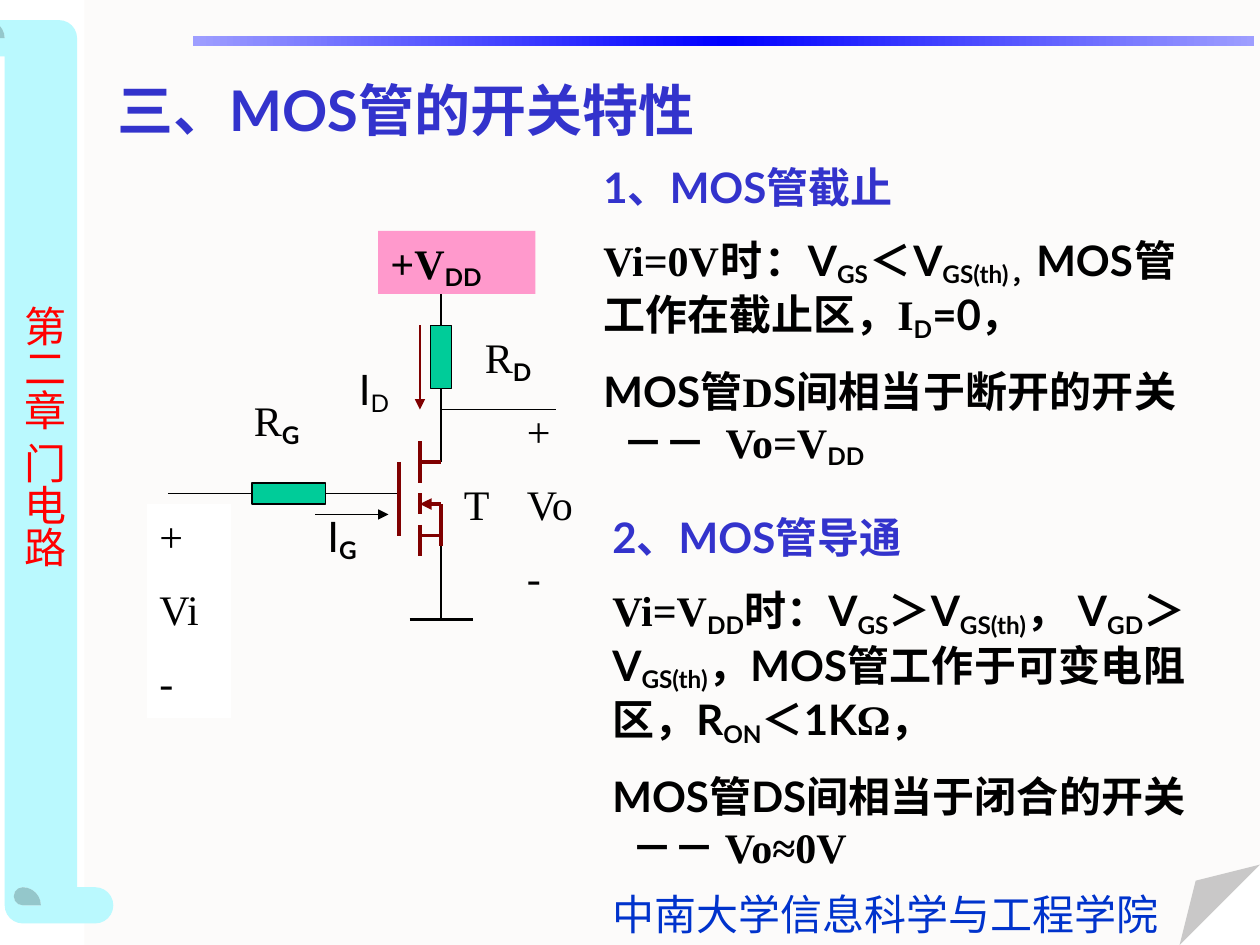
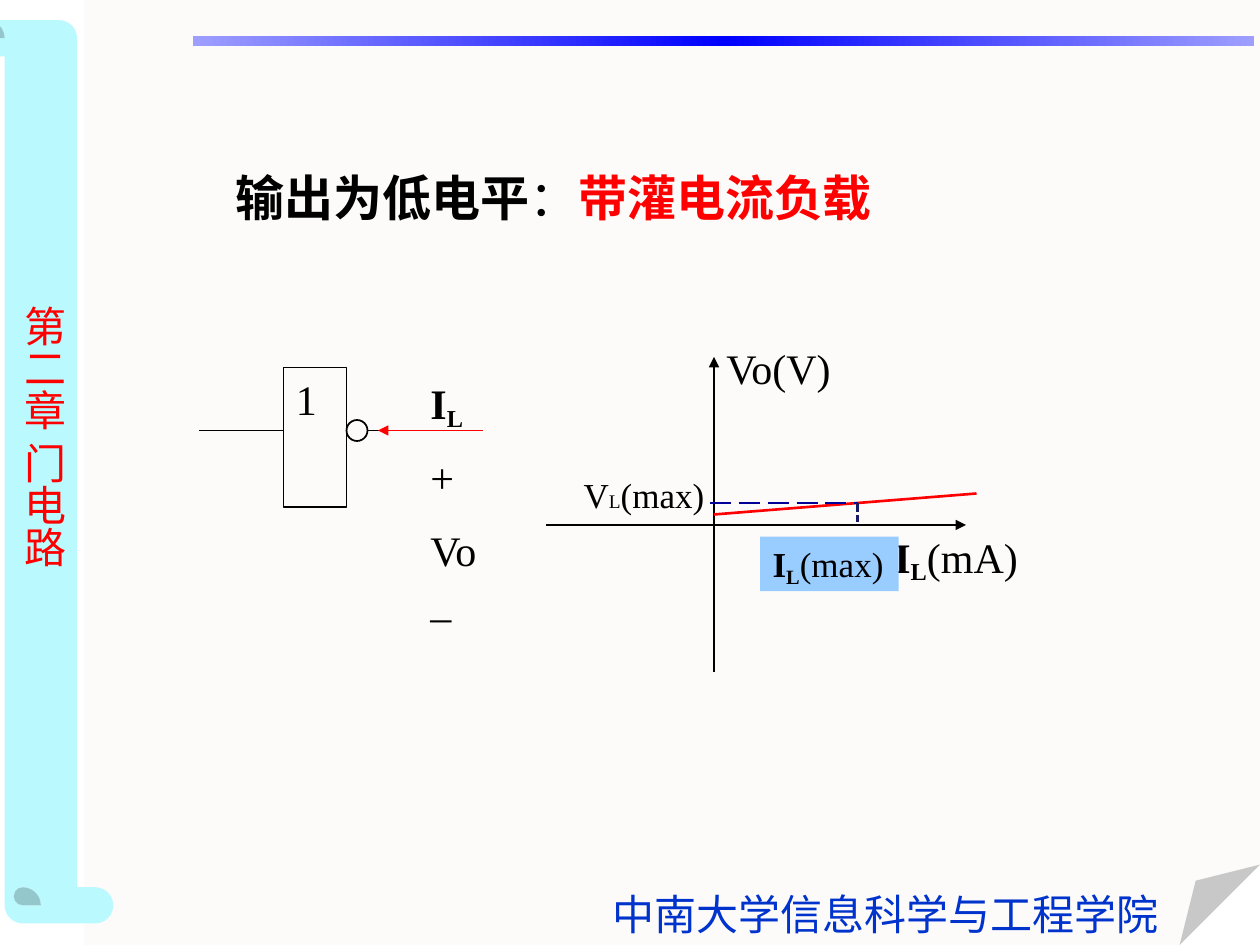
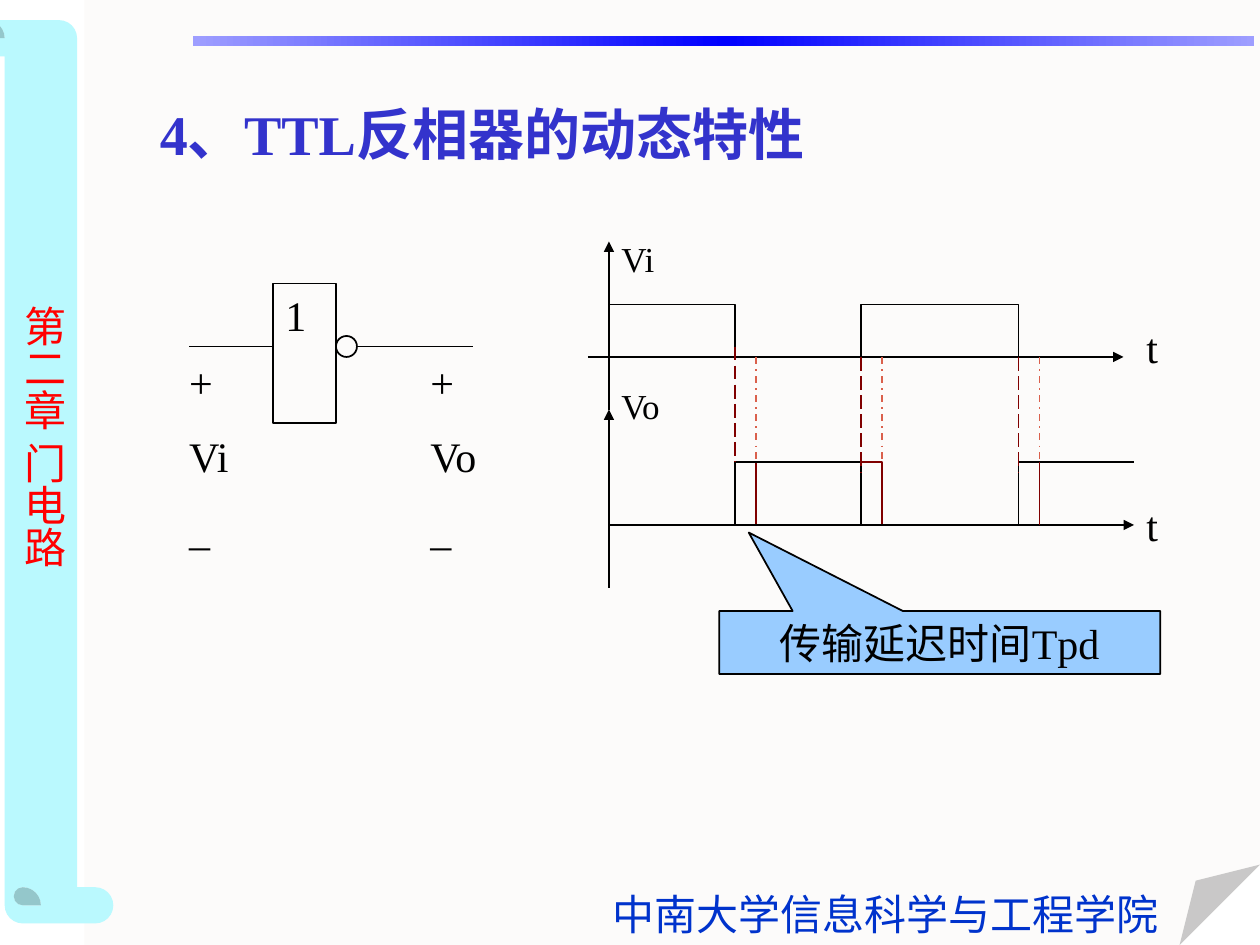
from copy import deepcopy
from dataclasses import dataclass

from lxml.etree import SubElement
from pptx import Presentation
from pptx.dml.color import RGBColor
from pptx.enum.dml import MSO_LINE
from pptx.enum.shapes import MSO_CONNECTOR, MSO_SHAPE
from pptx.enum.text import MSO_ANCHOR, MSO_AUTO_SIZE, PP_ALIGN
from pptx.oxml.ns import qn
from pptx.util import Cm, Pt


@dataclass(frozen=True)
class Theme:
    serif: str = "Times New Roman"
    sans: str = "Lato"
    asian: str = "Noto Sans CJK SC"
    ink: str = "000000"
    head: str = "3333CC"
    foot: str = "0033CC"
    red: str = "FF0000"
    paper: str = "FCFBFA"
    white: str = "FFFFFF"
    scroll: str = "BAF9FE"
    pink: str = "FF99CC"
    green: str = "00CC99"
    sky: str = "99CCFF"
    band: tuple = ((0, "9E9EFF"), (0.5, "0000FF"), (1, "9E9EFF"))
    title: int = 32
    lead: int = 28
    text: int = 24
    small: int = 20
    tiny: int = 11
    gap: int = 13


T = Theme()
UNIT = Cm(2.54) / 12  # drawing grid

# name: colour, width, dash
PENS = {
    "wire": (T.ink, 1, None),
    "bar": (T.ink, 2.25, None),
    "fet": ("800000", 2.25, None),
    "edge": ("800000", 1, None),
    "drop": ("800000", 1, MSO_LINE.LONG_DASH),
    "late": ("DA604C", 1, MSO_LINE.DASH_DOT),
    "flow": (T.red, 1, None),
    "curve": (T.red, 1.5, None),
    "level": ("000099", 1.5, MSO_LINE.LONG_DASH),
    "foot": ("191966", 1.75, MSO_LINE.SQUARE_DOT),
}


def rgb(code):
    return RGBColor.from_string(code)


def apply(item, **values):
    for name, value in values.items():
        setattr(item, name, value)


def write(shape, paras, size=T.text, color=T.ink, align=PP_ALIGN.LEFT, inset=None, **frame):
    """Fill a shape with paragraphs of (text, flags) runs.

    Flags: b bold, s subscript, l sans, h heading colour, r red, t tiny.
    """
    body = shape.text_frame
    look = {"word_wrap": True, "auto_size": MSO_AUTO_SIZE.NONE,
            "vertical_anchor": MSO_ANCHOR.TOP}
    if inset is not None:
        look |= {"margin_" + side: inset for side in ("left", "top", "right", "bottom")}
    apply(body, **(look | frame))
    for i, runs in enumerate(paras):
        para = body.add_paragraph() if i else body.paragraphs[0]
        apply(para, alignment=align, space_before=Pt(T.gap if i else 0))
        for text, flags in runs:
            run = para.add_run()
            run.text = text
            apply(run.font, name=T.sans if "l" in flags else T.serif,
                  size=Pt(T.tiny if "t" in flags else size), bold="b" in flags)
            tint = T.head if "h" in flags else T.red if "r" in flags else color
            run.font.color.rgb = rgb(tint)
            props = run._r.get_or_add_rPr()
            SubElement(props, qn("a:ea"), typeface=T.asian)
            if "s" in flags:
                props.set("baseline", "-18000")


def draw_pen(line, pen):
    color, width, dash = PENS[pen]
    line.color.rgb = rgb(color)
    apply(line, width=Pt(width))
    if dash:
        line.dash_style = dash


def block(slide, kind, box, fill=None, pen=None, guides=None):
    """Add a preset shape; box is left, top, width, height in EMU."""
    shape = slide.shapes.add_shape(kind, *box)
    shape.shadow.inherit = False
    if fill:
        shape.fill.solid()
        shape.fill.fore_color.rgb = rgb(fill)
    else:
        shape.fill.background()
    if pen:
        draw_pen(shape.line, pen)
    else:
        shape.line.fill.background()
    if guides:
        values = shape.element.spPr.find(".//" + qn("a:avLst"))
        del values[:]
        for name, value in guides.items():
            SubElement(values, qn("a:gd"), name=name, fmla=f"val {value}")
    return shape


def cm_box(*sides):
    return [Cm(side) for side in sides]


class Region:
    """A drawing area whose parts are given in grid units from its corner."""

    def __init__(self, slide, left, top):
        self.slide, self.left, self.top = slide, left, top

    def point(self, x, y):
        return round((self.left + x) * UNIT), round((self.top + y) * UNIT)

    def area(self, x, y, wide, high):
        return *self.point(x, y), round(wide * UNIT), round(high * UNIT)

    def line(self, pen, x1, y1, x2, y2, arrow=False):
        link = self.slide.shapes.add_connector(
            MSO_CONNECTOR.STRAIGHT, *self.point(x1, y1), *self.point(x2, y2))
        draw_pen(link.line, pen)
        props = link.element.spPr
        if arrow:
            SubElement(props.find(qn("a:ln")), qn("a:tailEnd"), type="triangle")
        SubElement(props, qn("a:effectLst"))

    def lines(self, pen, *ends):
        for end in ends:
            self.line(pen, *end)

    def rect(self, box, fill=None, pen=None, kind=MSO_SHAPE.RECTANGLE, guides=None):
        return block(self.slide, kind, self.area(*box), fill, pen, guides)

    def label(self, box, *paras, **look):
        write(self.slide.shapes.add_textbox(*self.area(*box)), paras, **look)


def frame(slide):
    """Page, side scroll, top band and footer shared by all slides."""
    block(slide, MSO_SHAPE.FOLDED_CORNER, cm_box(1.7, 0, 23.7, 19.05), T.paper,
          guides={"adj": 8500})
    roll = block(slide, MSO_SHAPE.HORIZONTAL_SCROLL, cm_box(-8.28, 8.05, 18.21, 2.92),
                 T.scroll, guides={"adj": 25000})
    roll.rotation = 270

    band = block(slide, MSO_SHAPE.RECTANGLE, cm_box(3.89, 0.72, 21.39, 0.2))
    band.fill.gradient()
    band.fill.gradient_angle = 0
    stops = band.element.spPr.find(".//" + qn("a:gsLst"))
    stops.append(deepcopy(stops[0]))
    for stop, (place, color) in zip(band.fill.gradient_stops, T.band):
        stop.position = place
        stop.color.rgb = rgb(color)

    foot = slide.shapes.add_textbox(*cm_box(12.09, 17.78, 11.51, 1.27))
    write(foot, [[("中南大学信息科学与工程学院", "")]], color=T.foot, word_wrap=False)
    side = slide.shapes.add_textbox(*cm_box(0, 5.92, 1.52, 5.77))
    write(side, [[("第二章 门电路", "")]], color=T.red, word_wrap=False)
    side.text_frame._txBody.bodyPr.set("vert", "eaVert")


def place(holder, box):
    """Move a placeholder to a box and in front of the frame."""
    apply(holder, **dict(zip(("left", "top", "width", "height"), cm_box(*box))))
    holder.element.getparent().append(holder.element)


def start(deck, layout, box, runs, size=T.title):
    slide = deck.slides.add_slide(deck.slide_layouts[layout])
    frame(slide)
    title = slide.shapes.title
    place(title, box)
    write(title, [runs], size, vertical_anchor=MSO_ANCHOR.MIDDLE)
    return slide


def notes(holder, box, paras):
    """Justified body text without bullets."""
    place(holder, box)
    write(holder, paras, align=PP_ALIGN.JUSTIFY)
    for para in holder.text_frame.paragraphs:
        props = para._p.get_or_add_pPr()
        props.set("marL", "0")
        props.set("indent", "0")
        SubElement(props, qn("a:buNone"))


def stage(slide, left, top):
    """MOS switch circuit."""
    r = Region(slide, left, top)
    r.lines("wire", (2, 25, 24, 25), (28, 29, 28, 37), (28, 5, 28, 22), (28, 17, 39, 17))
    r.line("bar", 25, 37, 31, 37)
    for box in ((10, 24, 7, 2), (27, 9, 2, 6)):
        r.rect(box, T.green, "wire")
    r.lines("fet", (24, 22, 24, 29), (26, 20, 26, 24), (26, 25, 26, 27), (26, 28, 26, 31),
            (26, 29, 28, 29), (26, 22, 28, 22), (28, 26, 28, 30), (28, 26, 26, 26, True))
    r.line("wire", 16, 27, 23, 27, True)
    r.line("edge", 26, 9, 26, 17, True)
    write(r.rect((22, 0, 15, 6), T.pink), [[("+V", "b"), ("DD", "bsl")]])
    write(r.rect((0, 26, 8, 20.4), T.white), [[(s, "")] for s in ("+", "Vi", "-")])
    r.label((35, 16, 8, 20.4), *([(s, "")] for s in ("+", "Vo", "-")))
    r.label((31, 9, 8, 6), [("R", ""), ("D", "bsl")])
    r.label((9, 15, 9, 6), [("R", ""), ("G", "bsl")])
    r.label((29, 23, 8, 6), [("T", "")])
    r.label((16, 26, 8, 6), [("I", "l"), ("G", "bsl")])
    r.label((19, 12, 7, 6), [("I", "l"), ("D", "sl")])


def gate(slide, left, top):
    """Inverter with its input and output leads."""
    r = Region(slide, left, top)
    r.line("wire", 0, 6, 8, 6)
    write(r.rect((8, 0, 6, 13.3), pen="wire"), [[("1", "")]])
    r.rect((14, 5, 2, 2), pen="wire", kind=MSO_SHAPE.OVAL)
    r.line("wire", 16, 6, 27, 6)
    return r


def load(slide, left, top):
    """Output voltage against load current."""
    r = Region(slide, left, top)
    r.label((32, 18, 16, 6), [("I", "b"), ("L", "bs"), ("(mA)", "")])
    r.lines("wire", (0, 18, 40, 18, True), (16, 32, 16, 2, True))
    r.label((16, 0, 22, 6), [("Vo(V)", "")])
    r.line("curve", 16, 17, 41, 15)
    r.line("level", 15.6, 15.9, 29.7, 15.9)
    r.line("foot", 29.7, 15.9, 29.7, 17.7)
    write(r.rect((20.4, 19.1, 13.2, 5.2), T.sky),
          [[("I", "b"), ("L", "bs"), ("(max)", "")]], T.small)
    r.label((2.4, 12.5, 14.9, 5.3), [("V", ""), ("L", "t"), ("(max)", "")], size=T.small)


def waves(slide, left, top):
    """Input and output pulses with the delay between them."""
    r = Region(slide, left, top)
    r.rect((16, 22, 12, 6), pen="edge")
    r.lines("wire", (0, 12, 51, 12, True), (2, 17, 2, 1, True),
            (2, 34, 2, 17, True), (2, 28, 52, 28, True))
    for box in ((2, 7, 12, 5), (26, 7, 15, 5), (14, 22, 12, 6)):
        r.rect(box, pen="wire")
    r.lines("wire", (41, 22, 41, 28), (41, 22, 52, 22))
    r.lines("drop", (14, 11, 14, 22), (26, 12, 26, 23), (41, 12, 41, 23))
    r.line("edge", 43, 28, 43, 22)
    for x in (16, 28, 43):
        r.line("late", x, 12, x, 22)
    for name, y in (("Vi", 0), ("Vo", 14)):
        r.label((2, y, 10, 5.2), [(name, "")], size=T.small)
    for y in (8, 25):
        r.label((52, y, 5, 6), [("t", "")])
    call = r.rect((12.5, 36.2, 42, 6), T.sky, "wire", MSO_SHAPE.RECTANGULAR_CALLOUT,
                  {"adj1": -43300, "adj2": -174700})
    write(call, [[("传输延迟时间Tpd", "")]], align=PP_ALIGN.CENTER,
          vertical_anchor=MSO_ANCHOR.MIDDLE)


def switch(deck):
    slide = start(deck, 3, (2.11, 0.91, 21.59, 2.59),
                  [("三", "bhl"), ("、", "bh"), ("MOS", "bhl"), ("管的开关特性", "bh")])
    stage(slide, 14, 22)
    notes(slide.placeholders[1], (11.91, 3.12, 12.06, 7.95), [
        [("1、MOS", "bhl"), ("管截止", "bh")],
        [("Vi=0V时：", "b"), ("V", "bl"), ("GS", "bsl"), ("＜", "b"), ("V", "bl"),
         ("GS(th)，", "bsl"), ("MOS", "bl"), ("管工作在截止区，I", "b"), ("D", "bsl"),
         ("=0", "bl"), ("，", "b")],
        [("MOS", "bl"), ("管D", "b"), ("S", "bl"),
         ("间相当于断开的开关   －－  Vo=V", "b"), ("DD", "bsl")],
    ])
    notes(slide.placeholders[2], (12.09, 10.19, 12.06, 8.97), [
        [("2、MOS", "bhl"), ("管导通", "bh")],
        [("Vi=V", "b"), ("DD", "bsl"), ("时：", "b"), ("V", "bl"), ("GS", "bsl"),
         ("＞", "b"), ("V", "bl"), ("GS(th)", "bsl"), ("， ", "b"), ("V", "bl"),
         ("GD", "bsl"), ("＞", "b"), ("V", "bl"), ("GS(th)", "bsl"), ("，MOS", "bl"),
         ("管工作于可变电阻区，", "b"), ("R", "bl"), ("ON", "bsl"), ("＜", "b"),
         ("1K", "bl"), ("Ω，", "b")],
        [("MOS管DS", "bl"), ("间相当于闭合的开关   －－ Vo≈0V", "b")],
    ])


def sink(deck):
    slide = start(deck, 5, (4.5, 3.48, 14.33, 0.97),
                  [("输出为低电平", "b"), ("：", ""), ("带灌电流负载", "br")], T.lead)
    r = gate(slide, 19, 35)
    r.label((22, 8, 6, 16.8), [("+", "")], [("Vo_", "")], inset=0)
    r.label((22, 1, 6, 4.8), [("I", "b"), ("L", "bs")], inset=0)
    r.line("flow", 27, 6, 17, 6, True)
    load(slide, 52, 32)


def delay(deck):
    slide = start(deck, 5, (2.97, 1.42, 21.16, 2.54), [("4、TTL反相器的动态特性", "bh")])
    r = gate(slide, 18, 27)
    for name, x, wide in (("Vi", 0, 4), ("Vo", 23, 7)):
        r.label((x, 7, wide, 19.2), *([(s, "")] for s in ("+", name, "_")), inset=0)
    waves(slide, 56, 22)


def main():
    deck = Presentation()
    apply(deck, slide_width=Cm(25.4), slide_height=Cm(19.05))
    for build in (switch, sink, delay):
        build(deck)
    deck.save("out.pptx")


if __name__ == "__main__":
    main()
